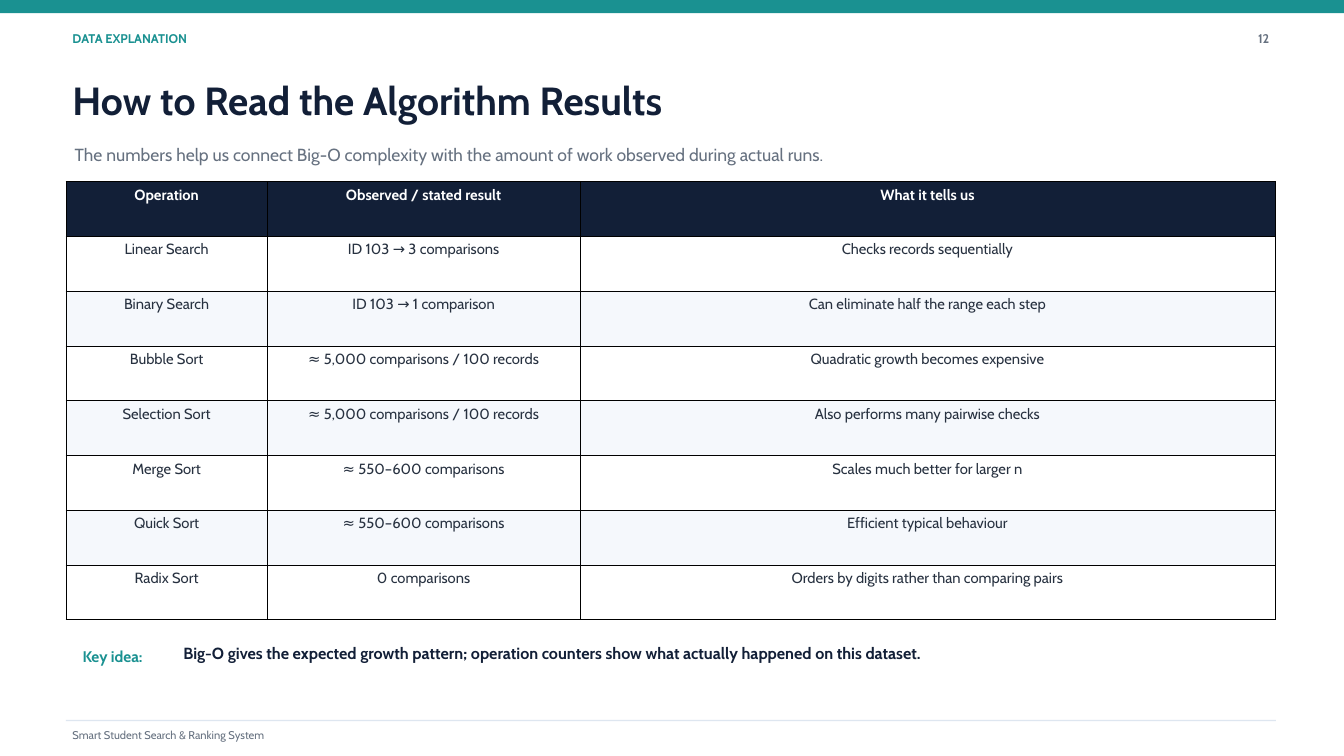
import dataclasses

import pptx
import pptx.dml.color
import pptx.enum.shapes
import pptx.enum.text
import pptx.oxml
import pptx.oxml.ns
import pptx.util

Cm = pptx.util.Cm
Pt = pptx.util.Pt
ALIGN = pptx.enum.text.PP_ALIGN


@dataclasses.dataclass(frozen=True)
class Theme:
    font: str = "Cabin"
    teal: str = "1A9191"
    navy: str = "121F37"
    gray: str = "667180"
    ink: str = "273140"
    white: str = "FFFFFF"
    band: str = "F5F8FC"
    rule: str = "DEE6F0"
    edge: str = "000000"
    title: float = 42
    lead: float = 18.8
    idea: float = 17.3
    key: float = 16.5
    cell: float = 15.8
    label: float = 13.5
    foot: float = 12


ROWS = [
    ("Operation", "Observed / stated result", "What it tells us"),
    ("Linear Search", "ID 103 → 3 comparisons", "Checks records sequentially"),
    ("Binary Search", "ID 103 → 1 comparison", "Can eliminate half the range each step"),
    ("Bubble Sort", "≈ 5,000 comparisons / 100 records", "Quadratic growth becomes expensive"),
    ("Selection Sort", "≈ 5,000 comparisons / 100 records", "Also performs many pairwise checks"),
    ("Merge Sort", "≈ 550–600 comparisons", "Scales much better for larger n"),
    ("Quick Sort", "≈ 550–600 comparisons", "Efficient typical behaviour"),
    ("Radix Sort", "0 comparisons", "Orders by digits rather than comparing pairs"),
]


def apply(target, values):
    for name, value in values.items():
        setattr(target, name, value)


def tint(fill, color):
    fill.solid()
    fill.fore_color.rgb = pptx.dml.color.RGBColor.from_string(color)


class Page:
    """Draws styled elements on one slide; boxes are (left, top, width, height) in cm."""

    def __init__(self, slide, theme):
        self.slide = slide
        self.theme = theme

    def fill_text(self, frame, text, size, color, bold=False, align=ALIGN.LEFT, lead=1.2):
        """Fill a frame with one paragraph; lead is line height over type size."""
        frame.text = text
        para = frame.paragraphs[0]
        apply(para, {"alignment": align, "line_spacing": Pt(round(size * lead, 1)),
                     "space_before": Pt(0)})
        apply(para.font, {"name": self.theme.font, "size": Pt(size), "bold": bold})
        para.font.color.rgb = pptx.dml.color.RGBColor.from_string(color)

    def place(self, shape, box, text, size, color, **style):
        apply(shape, dict(zip(("left", "top", "width", "height"), map(Cm, box))))
        frame = shape.text_frame
        apply(frame, {"margin_left": 0, "margin_top": 0, "margin_right": 0,
                      "margin_bottom": 0, "word_wrap": True,
                      "auto_size": pptx.enum.text.MSO_AUTO_SIZE.NONE,
                      "vertical_anchor": pptx.enum.text.MSO_ANCHOR.TOP})
        self.fill_text(frame, text, size, color, **style)

    def title(self, box, text):
        self.place(self.slide.shapes.title, box, text,
                   self.theme.title, self.theme.navy, bold=True)

    def text(self, box, text, size, color, **style):
        shape = self.slide.shapes.add_textbox(*map(Cm, box))
        self.place(shape, box, text, size, color, **style)

    def bar(self, box, color):
        shape = self.slide.shapes.add_shape(
            pptx.enum.shapes.MSO_SHAPE.RECTANGLE, *map(Cm, box))
        shape.shadow.inherit = False
        tint(shape.fill, color)
        shape.line.fill.background()

    def frame(self, cell):
        """Give a cell thin lines on all four sides."""
        props = cell._tc.get_or_add_tcPr()
        for side in "LRTB":
            props.append(pptx.oxml.parse_xml(
                f'<a:ln{side} {pptx.oxml.ns.nsdecls("a")} w="{Pt(0.37)}"><a:solidFill>'
                f'<a:srgbClr val="{self.theme.edge}"/></a:solidFill></a:ln{side}>'))

    def table(self, left, top, widths, height, rows):
        theme = self.theme
        table = self.slide.shapes.add_table(
            len(rows), len(widths), Cm(left), Cm(top),
            Cm(sum(widths)), Cm(height * len(rows))).table
        apply(table, {"first_row": False, "horz_banding": False})
        for col, width in zip(table.columns, widths):
            col.width = Cm(width)
        for i, (row, texts) in enumerate(zip(table.rows, rows)):
            row.height = Cm(height)
            head = i == 0
            fill = theme.navy if head else (theme.band, theme.white)[i % 2]
            for cell, text in zip(row.cells, texts):
                apply(cell, {"margin_left": Cm(0.18), "margin_right": Cm(0.18),
                             "margin_top": Cm(0.18), "margin_bottom": Cm(0.18)})
                self.frame(cell)
                tint(cell.fill, fill)
                self.fill_text(cell.text_frame, text, theme.cell,
                               theme.white if head else theme.ink,
                               bold=head, align=ALIGN.CENTER)


def main():
    deck = pptx.Presentation()
    apply(deck, {"slide_width": Cm(50.8), "slide_height": Cm(28.58)})
    theme = Theme()
    page = Page(deck.slides.add_slide(deck.slide_layouts[5]), theme)
    tint(page.slide.background.fill, theme.white)

    page.bar((0, 0, 50.8, 0.5), theme.teal)
    page.text((2.74, 1.17, 16.66, 0.91), "DATA EXPLANATION",
              theme.label, theme.teal, bold=True)
    page.text((46.38, 1.17, 1.6, 0.91), "12",
              theme.label, theme.gray, bold=True, align=ALIGN.RIGHT)
    page.title((2.74, 2.87, 45.24, 1.85), "How to Read the Algorithm Results")
    page.text((2.82, 5.46, 44.09, 1.27),
              "The numbers help us connect Big-O complexity with the amount "
              "of work observed during actual runs.", theme.lead, theme.gray)

    page.table(2.49, 6.86, (7.62, 11.81, 26.28), 2.07, ROWS)

    page.text((3.12, 24.46, 3.3, 0.89), "Key idea:", theme.key, theme.teal, bold=True)
    page.text((6.93, 24.31, 40.28, 1.35),
              "Big-O gives the expected growth pattern; operation counters show "
              "what actually happened on this dataset.",
              theme.idea, theme.navy, bold=True)
    page.bar((2.49, 27.22, 45.74, 0.04), theme.rule)
    page.text((2.74, 27.53, 30, 0.51), "Smart Student Search & Ranking System",
              theme.foot, theme.gray)
    deck.save("out.pptx")


if __name__ == "__main__":
    main()
